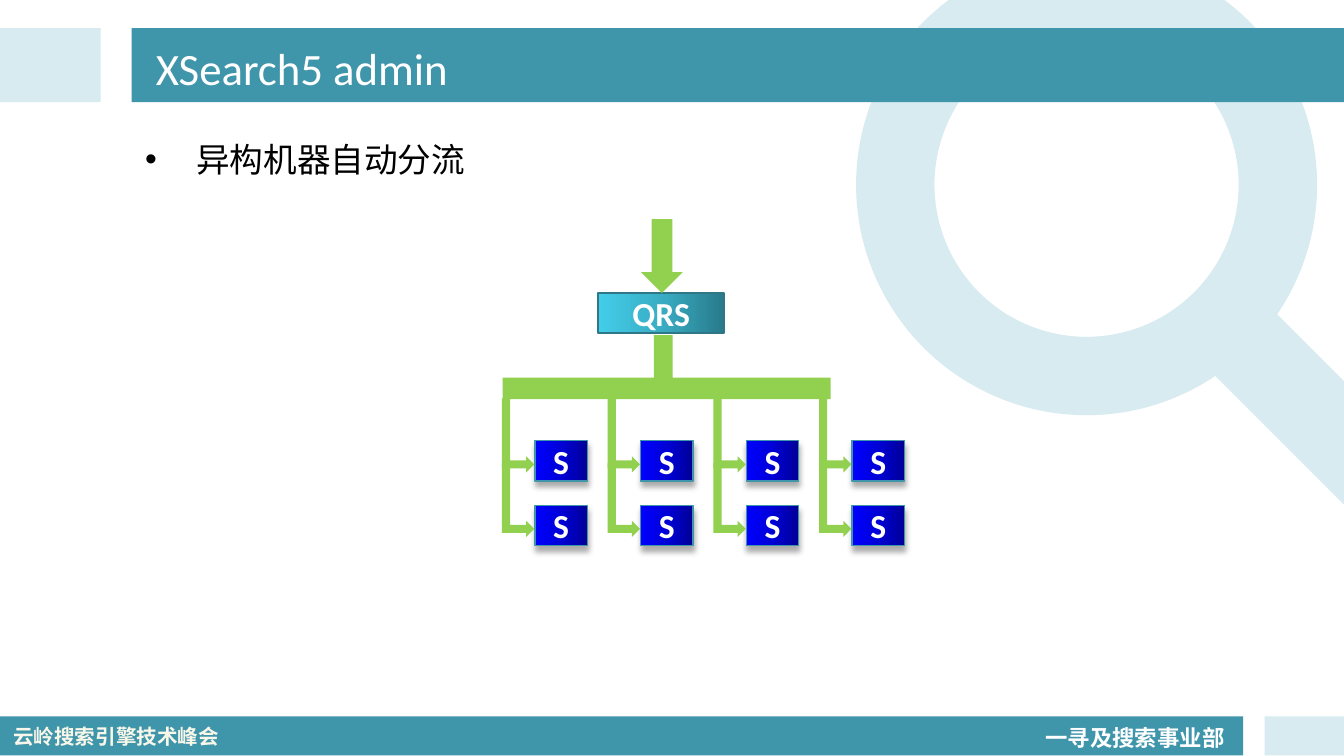
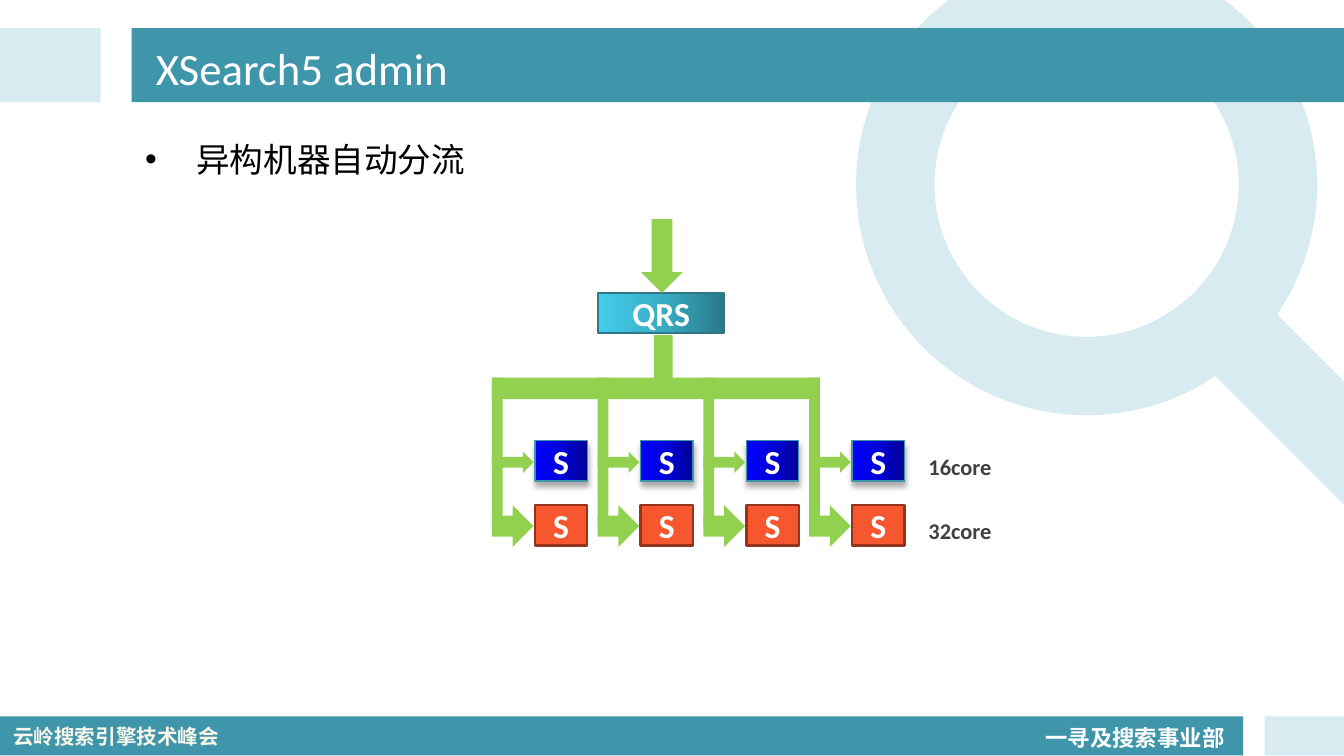
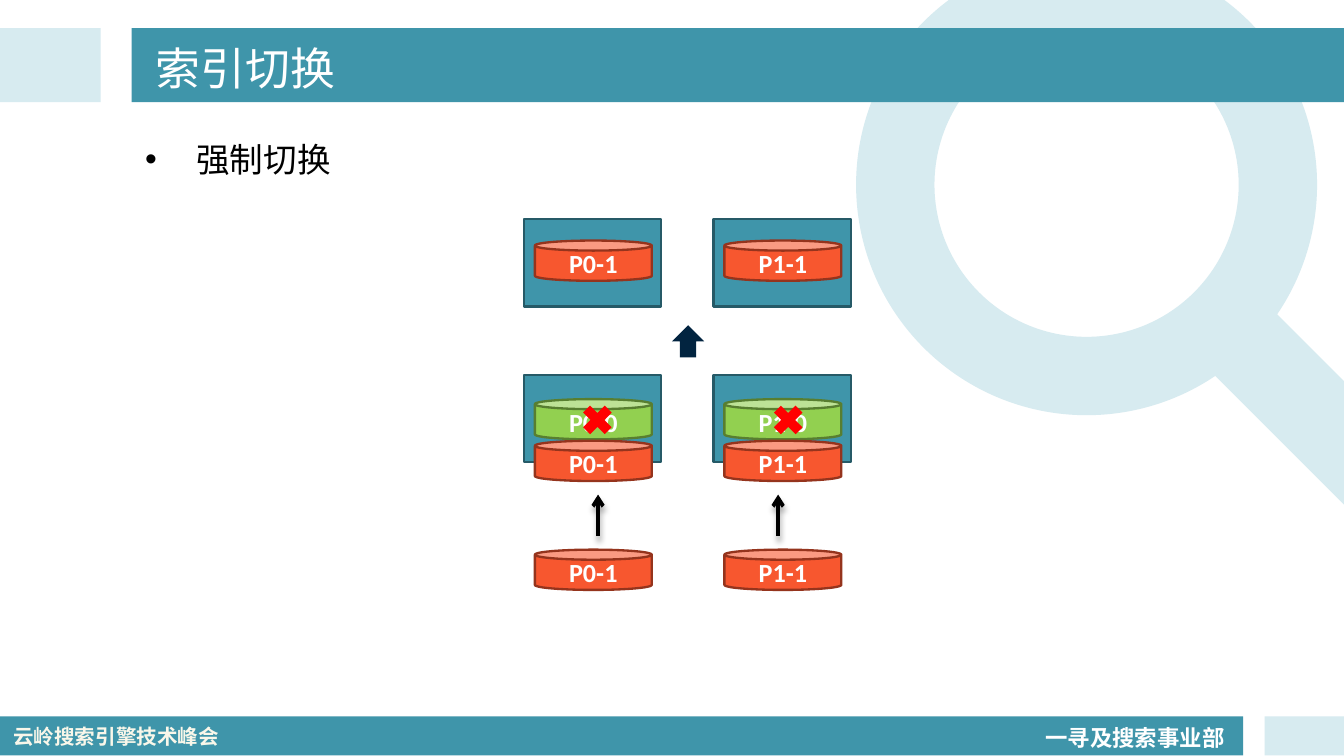
from copy import deepcopy

from lxml import etree
from pptx import Presentation
from pptx.dml.color import RGBColor
from pptx.enum.shapes import MSO_CONNECTOR, MSO_SHAPE
from pptx.enum.text import MSO_ANCHOR, MSO_AUTO_SIZE, PP_ALIGN
from pptx.oxml.ns import qn
from pptx.util import Inches, Pt

RECTANGLE = MSO_SHAPE.RECTANGLE
ROUNDED = MSO_SHAPE.ROUNDED_RECTANGLE
DONUT = MSO_SHAPE.DONUT
CAN = MSO_SHAPE.CAN
CROSS = MSO_SHAPE.MATH_MULTIPLY
RIGHT_ARROW = MSO_SHAPE.RIGHT_ARROW
BENT_ARROW = MSO_SHAPE.BENT_UP_ARROW
STRAIGHT = MSO_CONNECTOR.STRAIGHT
MIDDLE = MSO_ANCHOR.MIDDLE
LEFT = PP_ALIGN.LEFT
NO_FIT = MSO_AUTO_SIZE.NONE
FIT_SHAPE = MSO_AUTO_SIZE.SHAPE_TO_FIT_TEXT

WHITE = RGBColor(0xFF, 0xFF, 0xFF)
CREAM = RGBColor(0xF9, 0xF7, 0xEA)
BLACK = RGBColor(0x00, 0x00, 0x00)
GRAY = RGBColor(0x40, 0x40, 0x40)
TEAL = RGBColor(0x3F, 0x95, 0xAA)
TEAL_EDGE = RGBColor(0x26, 0x5A, 0x67)
PALE = RGBColor(0xD7, 0xEB, 0xF0)
GREEN = RGBColor(0x92, 0xD0, 0x50)
GREEN_EDGE = RGBColor(0x58, 0x7E, 0x30)
ORANGE = RGBColor(0xF7, 0x57, 0x2F)
ORANGE_EDGE = RGBColor(0x95, 0x34, 0x1D)
RED = RGBColor(0xFF, 0x00, 0x00)
NAVY = RGBColor(0x02, 0x24, 0x40)
QRS_EDGE = RGBColor(0x2F, 0x77, 0x86)
QRS_GRADIENT = [RGBColor(0x28, 0x7A, 0x8A), RGBColor(0x39, 0xAD, 0xC4), RGBColor(0x43, 0xCD, 0xE9)]
BLUE_GRADIENT = [RGBColor(0x00, 0x00, 0x97), RGBColor(0x00, 0x00, 0xD7), RGBColor(0x00, 0x00, 0xFF)]

TITLE_FONT = {"name": "Calibri", "size": Pt(24), "bold": False}
LIST_FONT = {"name": "Calibri", "size": Pt(18), "bold": False}
NODE_FONT = {"name": "Calibri", "size": Pt(18), "bold": True}
CAN_FONT = {"name": "Calibri", "size": Pt(14), "bold": True}
LABEL_FONT = {"name": "Calibri", "size": Pt(12), "bold": True}
EVENT_FONT = {"name": "Noto Sans CJK SC", "size": Pt(11), "bold": True}

COLUMN_OFFSETS = [2.36 * column / 3 for column in range(4)]
ROW_TOPS = [3.28, 3.76]
SEARCHER_LEFT = 3.98
BLUE_NODE = {"fill": BLUE_GRADIENT, "edge": TEAL, "edge_width": 0.75, "shadow": True}
ORANGE_NODE = {"fill": ORANGE, "edge": ORANGE_EDGE}
GREEN_NODE = {"fill": GREEN, "edge": GREEN_EDGE}
SERVER = {"fill": TEAL, "edge": TEAL_EDGE}


def write(paragraph, text, font_format, color):
    """Add one formatted run to a paragraph."""
    run = paragraph.add_run()
    run.text = text
    for name, value in font_format.items():
        setattr(run.font, name, value)
    run.font.color.rgb = color


def add_shadow(effects):
    """Fill an effect list with the soft lower shadow."""
    values = {"blurRad": Pt(3), "dist": Pt(3), "dir": 80 * 60000, "rotWithShape": 0}
    shadow = etree.SubElement(effects, qn("a:outerShdw"))
    for name, value in values.items():
        shadow.set(name, str(int(value)))
    color = etree.SubElement(shadow, qn("a:srgbClr"), val=str(BLACK))
    etree.SubElement(color, qn("a:alpha"), val="32000")


def fill_gradient(shape, colors):
    """Fill a shape with three colours from right to left."""
    shape.fill.gradient()
    shape.fill.gradient_angle = 180
    stop_list = shape.element.spPr.find(".//" + qn("a:gsLst"))
    stop_list.append(deepcopy(stop_list[1]))
    for index, (stop, color) in enumerate(zip(shape.fill.gradient_stops, colors)):
        stop.color.rgb = color
        stop.position = index / 2


def add_shape(slide, kind, box, fill, edge=None, edge_width=1.25, rotation=0, shadow=False):
    """Add a preset shape with a plain or gradient fill."""
    shape = slide.shapes.add_shape(kind, *map(Inches, box))
    shape.rotation = rotation
    shape.shadow.inherit = False
    if isinstance(fill, list):
        fill_gradient(shape, fill)
    else:
        shape.fill.solid()
        shape.fill.fore_color.rgb = fill
    if edge is None:
        shape.line.fill.background()
    else:
        shape.line.color.rgb = edge
        shape.line.width = Pt(edge_width)
    if shadow:
        add_shadow(shape.element.spPr.find(qn("a:effectLst")))
    return shape


def add_node(slide, kind, box, text, font_format, style):
    """Add a shape with a centred white label."""
    shape = add_shape(slide, kind, box, **style)
    write(shape.text_frame.paragraphs[0], text, font_format, WHITE)


def add_label(slide, box, text, font_format, color, line_spacing=1.2, wrap=True):
    """Add a text box that grows with its text."""
    label = slide.shapes.add_textbox(*map(Inches, box))
    frame = label.text_frame
    frame.word_wrap = wrap
    frame.auto_size = FIT_SHAPE
    frame.paragraphs[0].line_spacing = line_spacing
    write(frame.paragraphs[0], text, font_format, color)
    return label


def add_up_line(slide, x):
    """Add a shadowed black line whose arrow points up."""
    line = slide.shapes.add_connector(STRAIGHT, *map(Inches, (x, 3.99, x, 3.68)))
    line.line.color.rgb = BLACK
    line.line.width = Pt(2)
    properties = line.element.spPr
    etree.SubElement(properties.find(qn("a:ln")), qn("a:tailEnd"), type="arrow")
    add_shadow(etree.SubElement(properties, qn("a:effectLst")))


def place(shape, box):
    """Move and size a placeholder."""
    for name, value in zip(("left", "top", "width", "height"), box):
        setattr(shape, name, Inches(value))


def add_content_slide(presentation, title, item, list_width=8.52):
    """Add a slide with its title and single bullet."""
    slide = presentation.slides.add_slide(presentation.slide_layouts[1])
    heading, body = slide.placeholders
    place(heading, (1.06, 0.23, 8.44, 0.54))
    place(body, (0.98, 0.92, list_width, 4.1))
    for shape in (heading, body):
        shape.text_frame.auto_size = NO_FIT
    heading.text_frame.vertical_anchor = MIDDLE
    heading.text_frame.paragraphs[0].alignment = LEFT
    write(heading.text_frame.paragraphs[0], title, TITLE_FONT, WHITE)

    paragraph = body.text_frame.paragraphs[0]
    properties = paragraph._p.get_or_add_pPr()
    properties.set("marL", str(Inches(0.38)))
    properties.set("indent", str(Inches(-0.38)))
    etree.SubElement(properties, qn("a:buChar"), char="•")
    paragraph.line_spacing = 1.2
    paragraph.space_before = Pt(0)
    write(paragraph, item, LIST_FONT, BLACK)
    return slide


def decorate_layout(layout, slide):
    """Draw the shared decoration and move it to the layout."""
    for placeholder in list(layout.placeholders)[2:]:
        layout.shapes.element.remove(placeholder.element)
    ring = add_shape(slide, DONUT, (6.37, -0.34, 3.43, 3.43), PALE)
    ring.adjustments[0] = 0.17
    handle = add_shape(slide, ROUNDED, (8.66, 2.7, 2.14, 0.65), PALE, rotation=45)
    handle.adjustments[0] = 0.5
    bands = [
        add_shape(slide, RECTANGLE, box, color)
        for box, color in [
            ((0, 5.33, 9.25, 0.29), TEAL),
            ((9.41, 5.33, 0.59, 0.29), PALE),
            ((0, 0.21, 0.75, 0.55), PALE),
            ((0.98, 0.21, 9.02, 0.55), TEAL),
        ]
    ]
    department = add_label(slide, (7.68, 5.3, 1.55, 0.33), "一寻及搜索事业部", LABEL_FONT, WHITE, wrap=False)
    event = add_label(slide, (0, 5.34, 1.77, 0.29), "云岭搜索引擎技术峰会", EVENT_FONT, CREAM, line_spacing=1)
    for index, shape in enumerate([ring, handle, *bands, department, event], start=2):
        layout.shapes.element.insert(index, shape.element)


def draw_cluster(slide, row_styles, bus_left):
    """Draw the QRS node, its bus and the rows of searchers."""
    for top, style in zip(ROW_TOPS, row_styles):
        for offset in COLUMN_OFFSETS:
            add_node(slide, RECTANGLE, (SEARCHER_LEFT + offset, top, 0.39, 0.3), "S", NODE_FONT, style)
    qrs_style = {"fill": QRS_GRADIENT, "edge": QRS_EDGE}
    add_node(slide, RECTANGLE, (4.45, 2.18, 0.94, 0.3), "QRS", NODE_FONT, qrs_style)
    add_shape(slide, RECTANGLE, (bus_left, 2.81, 2.44, 0.16), GREEN)
    add_shape(slide, RECTANGLE, (4.75, 2.61, 0.37, 0.14), GREEN, rotation=90)
    add_shape(slide, RIGHT_ARROW, (4.65, 1.75, 0.55, 0.31), GREEN, rotation=90)


def draw_equal_flow(slide):
    """Draw equal branches to identical searchers."""
    draw_cluster(slide, [BLUE_NODE, BLUE_NODE], 3.74)
    for offset in COLUMN_OFFSETS:
        for top in (3.12, 3.6):
            add_shape(slide, BENT_ARROW, (3.58 + offset, top, 0.55, 0.24), GREEN, rotation=90)


def draw_weighted_flow(slide):
    """Draw thin and thick branches to searchers of two sizes."""
    draw_cluster(slide, [BLUE_NODE, ORANGE_NODE], 3.66)
    for offset in COLUMN_OFFSETS:
        left = 3.66 + offset
        add_shape(slide, RECTANGLE, (left, 2.81, 0.08, 1.1), GREEN)
        for top, height in ((3.36, 0.16), (3.76, 0.31)):
            add_shape(slide, RIGHT_ARROW, (left, top, 0.31, height), GREEN)
    for top, text in zip(ROW_TOPS, ("16core", "32core")):
        add_label(slide, (6.81, top, 0.71, 0.33), text, LABEL_FONT, GRAY)


def draw_partition(slide, name, left, line_x, cross_left):
    """Draw one partition whose old index is replaced by the new one."""
    for top in (1.63, 2.79):
        add_shape(slide, RECTANGLE, (left, top, 1.02, 0.65), **SERVER)
    for top, version, style in (
        (1.79, 1, ORANGE_NODE),
        (2.97, 0, GREEN_NODE),
        (3.28, 1, ORANGE_NODE),
        (4.09, 1, ORANGE_NODE),
    ):
        add_node(slide, CAN, (left + 0.08, top, 0.87, 0.3), f"{name}-{version}", CAN_FONT, style)
    add_shape(slide, CROSS, (cross_left, 2.97, 0.31, 0.31), RED)
    add_up_line(slide, line_x)


def main():
    """Build and save the three slides."""
    presentation = Presentation()
    presentation.slide_width = Inches(10)
    presentation.slide_height = Inches(10 * 9 / 16)

    equal = add_content_slide(presentation, "XSearch5 admin", "异构机器自动分流")
    decorate_layout(presentation.slide_layouts[1], equal)
    draw_equal_flow(equal)

    weighted = add_content_slide(presentation, "XSearch5 admin", "异构机器自动分流")
    draw_weighted_flow(weighted)

    switch = add_content_slide(presentation, "索引切换", "强制切换", list_width=1.97)
    draw_partition(switch, "P0", 3.9, 4.45, 4.29)
    draw_partition(switch, "P1", 5.31, 5.79, 5.71)
    add_shape(switch, RIGHT_ARROW, (5, 2.42, 0.24, 0.24), NAVY, rotation=270)

    presentation.save("out.pptx")


if __name__ == "__main__":
    main()
